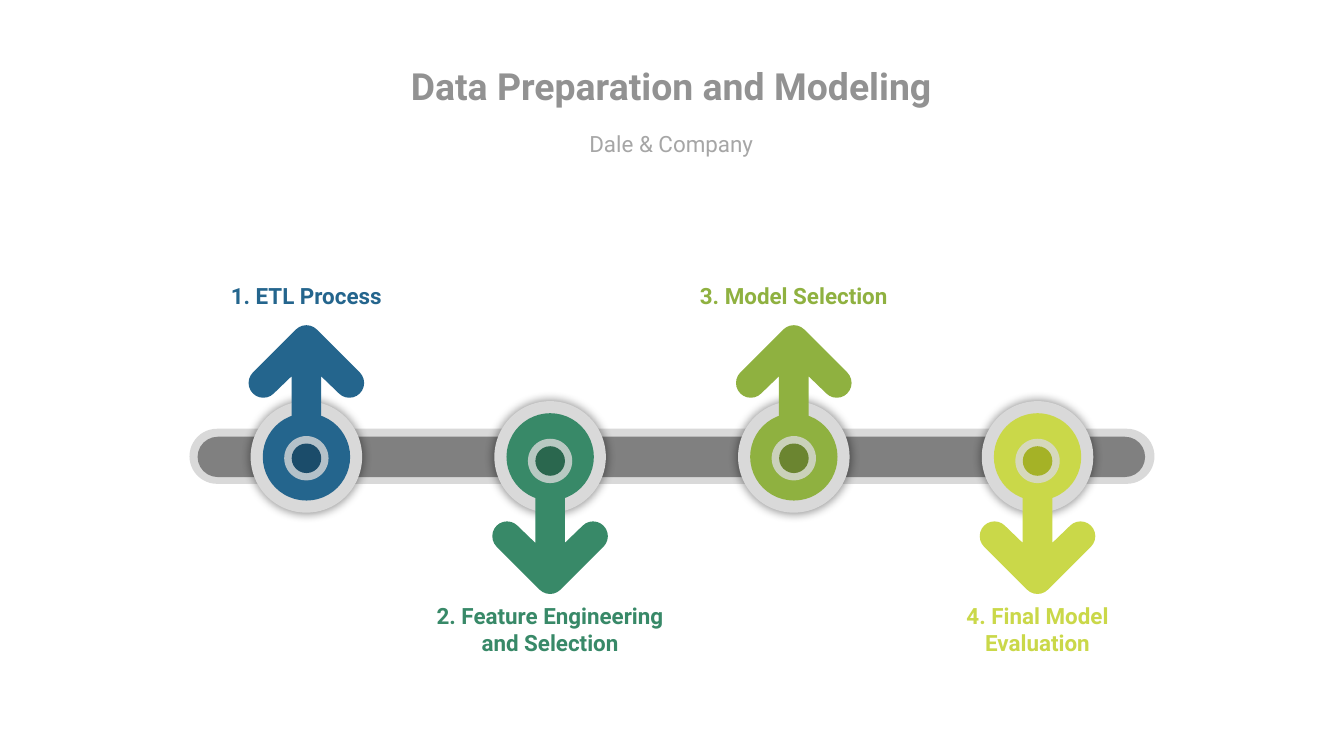
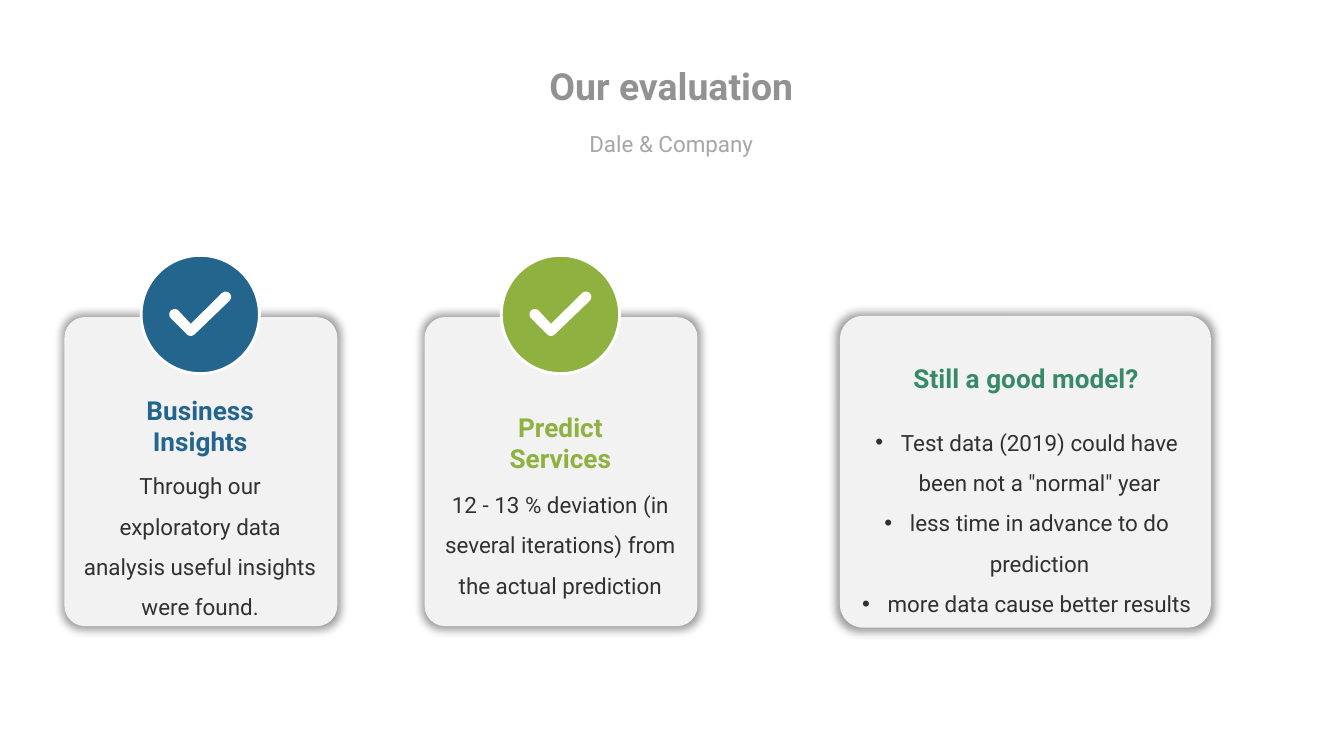
import math

import pptx
import pptx.dml.color
import pptx.enum.shapes
import pptx.enum.text
import pptx.oxml
import pptx.oxml.ns
import pptx.util
from pptx.util import Inches

# Shared look
FONT = "Roboto"
BLUE, GREEN, LIME, YELLOW = "24658D", "388968", "8FB140", "CAD849"
RAIL, RING, CARD, WHITE = "808080", "D9D9D9", "F2F2F2", "FFFFFF"
TITLE, SUBTITLE, BODY = "929292", "A6A6A6", "313131"
COMPANY = "Dale & Company"
OVAL = pptx.enum.shapes.MSO_SHAPE.OVAL
ROUNDED = pptx.enum.shapes.MSO_SHAPE.ROUNDED_RECTANGLE


def color(hex_string):
    return pptx.dml.color.RGBColor.from_string(hex_string)


def paint(shape, fill):
    shape.shadow.inherit = False
    shape.fill.solid()
    shape.fill.fore_color.rgb = color(fill)
    shape.line.fill.background()
    return shape


def add_shape(slide, kind, left, top, width, height, fill):
    shape = slide.shapes.add_shape(
        kind, Inches(left), Inches(top), Inches(width), Inches(height))
    return paint(shape, fill)


def add_circle(slide, x, y, diameter, fill):
    radius = diameter / 2
    return add_shape(slide, OVAL, x - radius, y - radius, diameter, diameter, fill)


def add_rounded(slide, left, top, width, height, fill, corner):
    shape = add_shape(slide, ROUNDED, left, top, width, height, fill)
    shape.adjustments[0] = corner
    return shape


def add_glow_shadow(shape):
    """Soft shadow on every side: 5 pt blur, 40 % black, slightly enlarged."""
    effects = shape._element.spPr.find(pptx.oxml.ns.qn("a:effectLst"))
    effects.append(pptx.oxml.parse_xml(
        f'<a:outerShdw {pptx.oxml.ns.nsdecls("a")} blurRad="{pptx.util.Pt(5)}" '
        'sx="102000" sy="102000" algn="ctr" rotWithShape="0">'
        '<a:srgbClr val="000000"><a:alpha val="40000"/></a:srgbClr></a:outerShdw>'))


def set_opacity(shape, percent):
    fill = shape._element.spPr.find(pptx.oxml.ns.qn("a:solidFill"))
    fill[0].append(pptx.oxml.parse_xml(
        f'<a:alpha {pptx.oxml.ns.nsdecls("a")} val="{percent * 1000}"/>'))


def add_bullet(paragraph):
    properties = paragraph._p.get_or_add_pPr()
    properties.set("marL", str(Inches(0.19)))
    properties.set("indent", str(-Inches(0.19)))
    namespace = pptx.oxml.ns.nsdecls("a")
    # Bullet settings come before the default run properties
    for position, tag in enumerate(('buFont typeface="Arial"', 'buChar char="•"')):
        name, attribute = tag.split(" ")
        element = pptx.oxml.parse_xml(f"<a:{name} {namespace} {attribute}/>")
        defaults = properties.find(pptx.oxml.ns.qn("a:defRPr"))
        if defaults is None:
            properties.append(element)
        else:
            defaults.addprevious(element)


def add_text(slide, left, top, width, height, lines, size, text_color,
             bold=False, spacing=None, bullets=False):
    box = slide.shapes.add_textbox(
        Inches(left), Inches(top), Inches(width), Inches(height))
    frame = box.text_frame
    frame.word_wrap = True
    frame.vertical_anchor = pptx.enum.text.MSO_ANCHOR.MIDDLE
    frame.margin_left = frame.margin_right = 0
    frame.margin_top = frame.margin_bottom = 0
    frame.text = "\n".join(lines)
    for paragraph in frame.paragraphs:
        paragraph.alignment = pptx.enum.text.PP_ALIGN.CENTER
        paragraph.font.name = FONT
        paragraph.font.size = pptx.util.Pt(size)
        paragraph.font.bold = bold
        paragraph.font.color.rgb = color(text_color)
        if spacing:
            paragraph.line_spacing = spacing
        if bullets:
            add_bullet(paragraph)


def arc(x, y, radius, start, end):
    """Points on a circle, in steps of 15 degrees, clockwise from the right."""
    angles = [math.radians(angle) for angle in range(start, end + 1, 15)]
    return [(x + radius * math.cos(a), y + radius * math.sin(a)) for a in angles]


def add_outline(slide, points, fill):
    corners = [(Inches(x), Inches(y)) for x, y in points]
    builder = slide.shapes.build_freeform(*corners[0], scale=1.0)
    builder.add_line_segments(corners[1:], close=True)
    return paint(builder.convert_to_shape(), fill)


def add_arrow(slide, x, tip, direction, fill):
    """Round-ended arrow; direction is 1 when it points up, -1 when down."""
    radius = 0.11
    right = (arc(0, 0.11, radius, -90, -45) + arc(0.32, 0.43, radius, -45, 135)
             + [(0.11, 0.38)] + arc(0, 0.99, radius, 0, 90))
    left = [(-dx, dy) for dx, dy in reversed(right)]
    add_outline(slide, [(x + dx, tip + direction * dy) for dx, dy in right + left],
                fill)


def add_check(slide, x, y):
    radius = 0.04
    points = (arc(x + 0.19, y - 0.13, radius, -135, 45)
              + arc(x - 0.07, y + 0.12, radius, 45, 135)
              + arc(x - 0.19, y, radius, 135, 315)
              + [(x - 0.07, y + 0.07)])
    add_outline(slide, points, WHITE)


def add_slide(presentation, title):
    slide = presentation.slides.add_slide(presentation.slide_layouts[6])
    add_text(slide, 0.42, 0.97, 9.15, 0.19, [COMPANY], 12, SUBTITLE)
    add_text(slide, 0.42, 0.37, 9.15, 0.54, [title], 20, TITLE, bold=True)
    return slide


def add_step(slide, x, lines, points_up, fill, dark):
    """One stop on the rail, with its arrow and label."""
    if points_up:
        direction, tip, label_y, hub_y = 1, 2.42, 2.2, 3.41
    else:
        direction, tip, label_y, hub_y = -1, 4.42, 4.68, 3.43
    height = 0.2 if points_up else 0.4
    add_glow_shadow(add_circle(slide, x, 3.4, 0.83, RING))
    add_circle(slide, x, 3.4, 0.65, fill)
    add_text(slide, x - 0.87, label_y - height / 2, 1.74, height, lines, 12, fill,
             bold=True)
    add_arrow(slide, x, tip, direction, fill)
    set_opacity(add_circle(slide, x, hub_y, 0.33, RING), 80)
    add_circle(slide, x, hub_y, 0.22, dark)


def add_card(slide, left, top, width, height):
    add_glow_shadow(add_rounded(slide, left, top, width, height, CARD, 0.075))


def add_checked_card(slide, left, heading, heading_top, text, text_top,
                     text_height, fill):
    middle = left + 1.01
    add_card(slide, left, 2.36, 2.03, 2.3)
    badge = add_circle(slide, middle, 2.34, 0.88, fill)
    badge.line.color.rgb = color(WHITE)
    badge.line.width = pptx.util.Pt(1.5)
    add_check(slide, middle, 2.34)
    add_text(slide, left + 0.37, heading_top, 1.28, 0.47, [heading], 14, fill,
             bold=True)
    add_text(slide, left + 0.13, text_top, 1.76, text_height, [text], 12, BODY,
             spacing=1.5)


def build_process(presentation):
    slide = add_slide(presentation, "Data Preparation and Modeling")
    # Rail
    add_rounded(slide, 1.41, 3.19, 7.18, 0.41, RING, 0.5)
    add_rounded(slide, 1.47, 3.25, 7.05, 0.3, RAIL, 0.5)
    # Steps, alternately above and below the rail
    steps = [
        (["1. ETL Process"], BLUE, "1B4C6A"),
        (["2. Feature Engineering", "and Selection"], GREEN, "2A674E"),
        (["3. Model Selection"], LIME, "6B8530"),
        (["4. Final Model Evaluation"], YELLOW, "A5B226"),
    ]
    first, last = 2.28, 7.72
    gap = (last - first) / (len(steps) - 1)
    for index, (lines, fill, dark) in enumerate(steps):
        add_step(slide, first + gap * index, lines, index % 2 == 0, fill, dark)


def build_evaluation(presentation):
    slide = add_slide(presentation, "Our evaluation")
    # Results
    add_checked_card(
        slide, 0.48, "Business Insights", 2.93,
        "Through our exploratory data analysis useful insights were found.",
        3.36, 1.31, BLUE)
    add_checked_card(
        slide, 3.16, "Predict Services", 3.06,
        "12 - 13 % deviation (in several iterations) from the actual prediction",
        3.57, 0.87, LIME)
    # Open question
    add_card(slide, 6.25, 2.35, 2.76, 2.32)
    add_text(slide, 6.78, 2.58, 1.71, 0.47, ["Still a good model?"], 14, GREEN,
             bold=True)
    add_text(slide, 6.38, 3.1, 2.52, 1.48, [
        'Test data (2019) could have been not a "normal" year',
        "less time in advance to do prediction",
        "more data cause better results",
    ], 12, BODY, spacing=1.5, bullets=True)


def main():
    presentation = pptx.Presentation()
    presentation.slide_width = Inches(10)
    presentation.slide_height = Inches(10) * 9 // 16
    build_process(presentation)
    build_evaluation(presentation)
    presentation.save("out.pptx")


if __name__ == "__main__":
    main()
